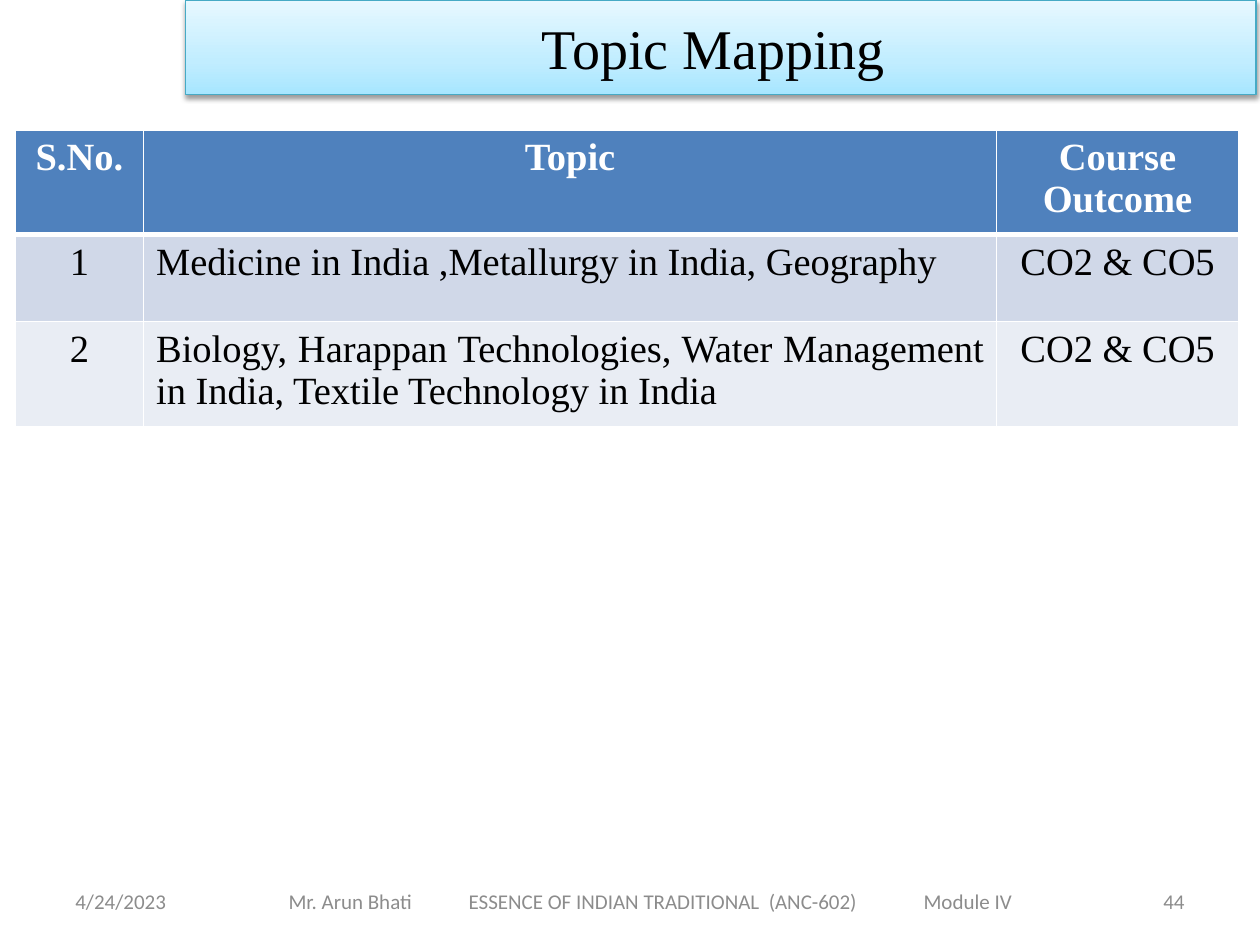
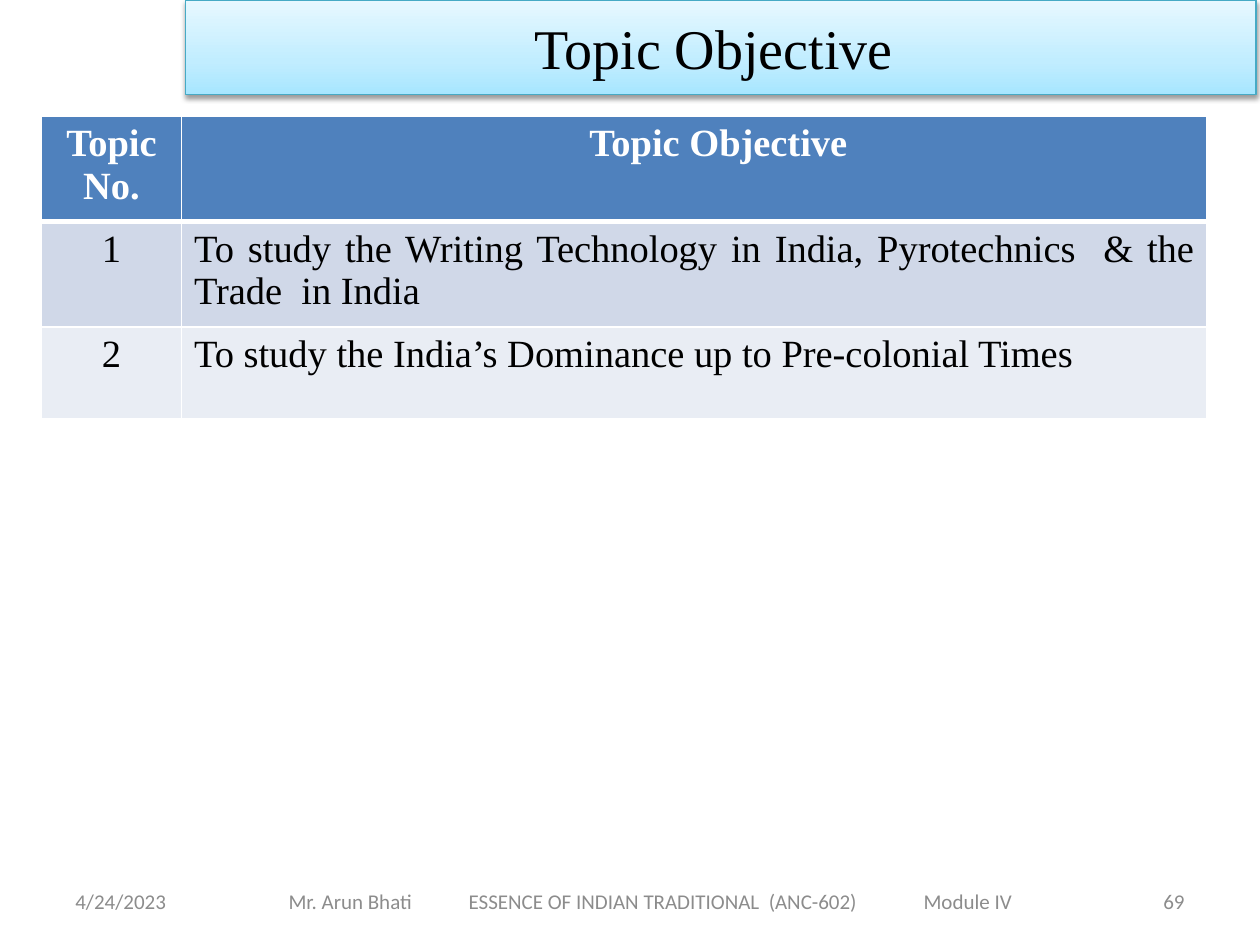
import dataclasses
import typing

import lxml.etree
import pptx
import pptx.dml.color
import pptx.enum.shapes
import pptx.enum.text
import pptx.oxml.ns
import pptx.util

Inches = pptx.util.Inches
Pt = pptx.util.Pt
Align = pptx.enum.text.PP_ALIGN
Anchor = pptx.enum.text.MSO_ANCHOR
qn = pptx.oxml.ns.qn

COLORS = {
    "ink": "000000", "white": "FFFFFF", "gray": "8C8C8C", "edge": "46AAC5",
    "head": "4F81BD", "odd": "D0D8E8", "even": "E9EDF4",
    "deep": "A7E6FF", "mid": "C1EDFF", "pale": "E7F8FF",
}
SERIF, SANS = "Times New Roman", "Calibri"


@dataclasses.dataclass
class Note:
    """One footer text; tabs are measured from the left inset."""
    text: str
    left: float
    width: float
    align: Align = Align.LEFT
    inset: float = 0.1
    tabs: tuple[float, ...] = ()


@dataclasses.dataclass
class Grid:
    left: float
    top: float
    cols: list[float]
    rows: list[float]
    cells: list[list[str]]
    shift: float = 0  # extra left inset of the topic heading


@dataclasses.dataclass
class Page:
    title: str
    number: str
    grid: Grid


NOTES = [
    Note("4/24/2023", 0.5, 2.33),
    Note("Mr. Arun Bhati\tESSENCE OF INDIAN TRADITIONAL  (ANC-602)\tModule IV",
         1.75, 6.83, inset=0.54, tabs=(1.43, 5.04)),
]

PAGES = [
    Page("Topic Mapping ", "44", Grid(
        0.12, 1.03, [1.02, 6.77, 1.92], [0.81, 0.69, 0.69],
        [["S.No.", "Topic", "Course Outcome"],
         ["1", "Medicine in India ,Metallurgy in India, Geography", "CO2 & CO5"],
         ["2", "Biology, Harappan Technologies, Water Management in India, "
               "Textile Technology in India ", "CO2 & CO5"]])),
    Page("Topic Objective ", "69", Grid(
        0.33, 0.92, [1.11, 8.14], [0.84, 0.73, 0.73],
        [["Topic No.", "Topic Objective "],
         ["1", "To study the Writing Technology in India, Pyrotechnics  & the "
               "Trade  in India "],
         ["2", "To study the India’s Dominance up to Pre-colonial Times "]],
        shift=0.46)),
]


def paint(name: str) -> pptx.dml.color.RGBColor:
    return pptx.dml.color.RGBColor.from_string(COLORS[name])


def add_node(root: typing.Any, tag: str, **attrs: typing.Any) -> typing.Any:
    return lxml.etree.SubElement(
        root, qn(tag), {key: str(value) for key, value in attrs.items()})


def write(frame: typing.Any, text: str, size: float, face: str, color: str,
          align: Align, bold: bool = False) -> None:
    para = frame.paragraphs[0]
    para.alignment = align
    run = para.add_run()
    run.text = text
    run.font.size = Pt(size)
    run.font.name = face
    run.font.bold = bold
    run.font.color.rgb = paint(color)


def draw_band(slide: typing.Any, title: str) -> None:
    band = slide.shapes.add_shape(
        pptx.enum.shapes.MSO_SHAPE.RECTANGLE,
        Inches(1.47), Inches(0), Inches(8.5), Inches(0.75))
    band.line.color.rgb = paint("edge")
    band.line.width = Pt(0.75)

    # Three-stop gradient, rising from the bottom edge
    band.fill.gradient()
    band.fill.gradient_angle = 90
    props = band.element.spPr
    stops = props.find(".//" + qn("a:gsLst"))
    stops.clear()
    for place, name in ((0, "deep"), (35, "mid"), (100, "pale")):
        stop = add_node(stops, "a:gs", pos=place * 1000)
        add_node(stop, "a:srgbClr", val=COLORS[name])

    # Soft shadow below
    band.shadow.inherit = False
    shade = add_node(props.find(qn("a:effectLst")), "a:outerShdw",
                     blurRad=Pt(3.1), dist=Pt(1.6), dir=90 * 60000,
                     rotWithShape=0)
    tint = add_node(shade, "a:srgbClr", val=COLORS["ink"])
    add_node(tint, "a:alpha", val=38000)

    frame = band.text_frame
    frame.word_wrap = True
    frame.vertical_anchor = Anchor.MIDDLE
    write(frame, title, 32, SERIF, "ink", Align.CENTER)


def draw_note(slide: typing.Any, note: Note) -> None:
    box = slide.shapes.add_textbox(
        Inches(note.left), Inches(6.95), Inches(note.width), Inches(0.4))
    frame = box.text_frame
    frame.word_wrap = True
    frame.vertical_anchor = Anchor.MIDDLE
    frame.margin_left = Inches(note.inset)
    if note.tabs:
        props = frame.paragraphs[0]._p.get_or_add_pPr()
        stops = add_node(props, "a:tabLst")
        for place in note.tabs:
            add_node(stops, "a:tab", pos=Inches(place), algn="l")
    write(frame, note.text, 12, SANS, "gray", note.align)


def edge_cell(cell: typing.Any, row: int) -> None:
    """White rules, with a thick one below the heading row."""
    props = cell._tc.get_or_add_tcPr()
    sizes = {"L": 1, "R": 1, "T": 3 if row == 1 else 1, "B": 3 if row == 0 else 1}
    for side, size in sizes.items():
        line = add_node(props, f"a:ln{side}", w=Pt(size))
        add_node(add_node(line, "a:solidFill"), "a:srgbClr", val=COLORS["white"])


def draw_grid(slide: typing.Any, grid: Grid) -> None:
    table = slide.shapes.add_table(
        len(grid.rows), len(grid.cols), Inches(grid.left), Inches(grid.top),
        Inches(sum(grid.cols)), Inches(sum(grid.rows))).table
    table.horz_banding = False
    for col, width in zip(table.columns, grid.cols):
        col.width = Inches(width)
    for row, height in zip(table.rows, grid.rows):
        row.height = Inches(height)

    for r, texts in enumerate(grid.cells):
        head = r == 0
        fill = "head" if head else "odd" if r % 2 else "even"
        for c, text in enumerate(texts):
            cell = table.cell(r, c)
            edge_cell(cell, r)
            cell.fill.solid()
            cell.fill.fore_color.rgb = paint(fill)
            if head and c == 1:
                cell.margin_left = Inches(0.1 + grid.shift)
            align = Align.JUSTIFY if c == 1 and not head else Align.CENTER
            write(cell.text_frame, text, 22, SERIF,
                  "white" if head else "ink", align, head)


def main() -> None:
    deck = pptx.Presentation()
    deck.slide_width, deck.slide_height = Inches(10), Inches(7.5)
    for page in PAGES:
        slide = deck.slides.add_slide(deck.slide_layouts[6])
        for note in [*NOTES, Note(page.number, 7.17, 2.33, Align.RIGHT)]:
            draw_note(slide, note)
        draw_band(slide, page.title)
        draw_grid(slide, page.grid)
    deck.save("out.pptx")


if __name__ == "__main__":
    main()
